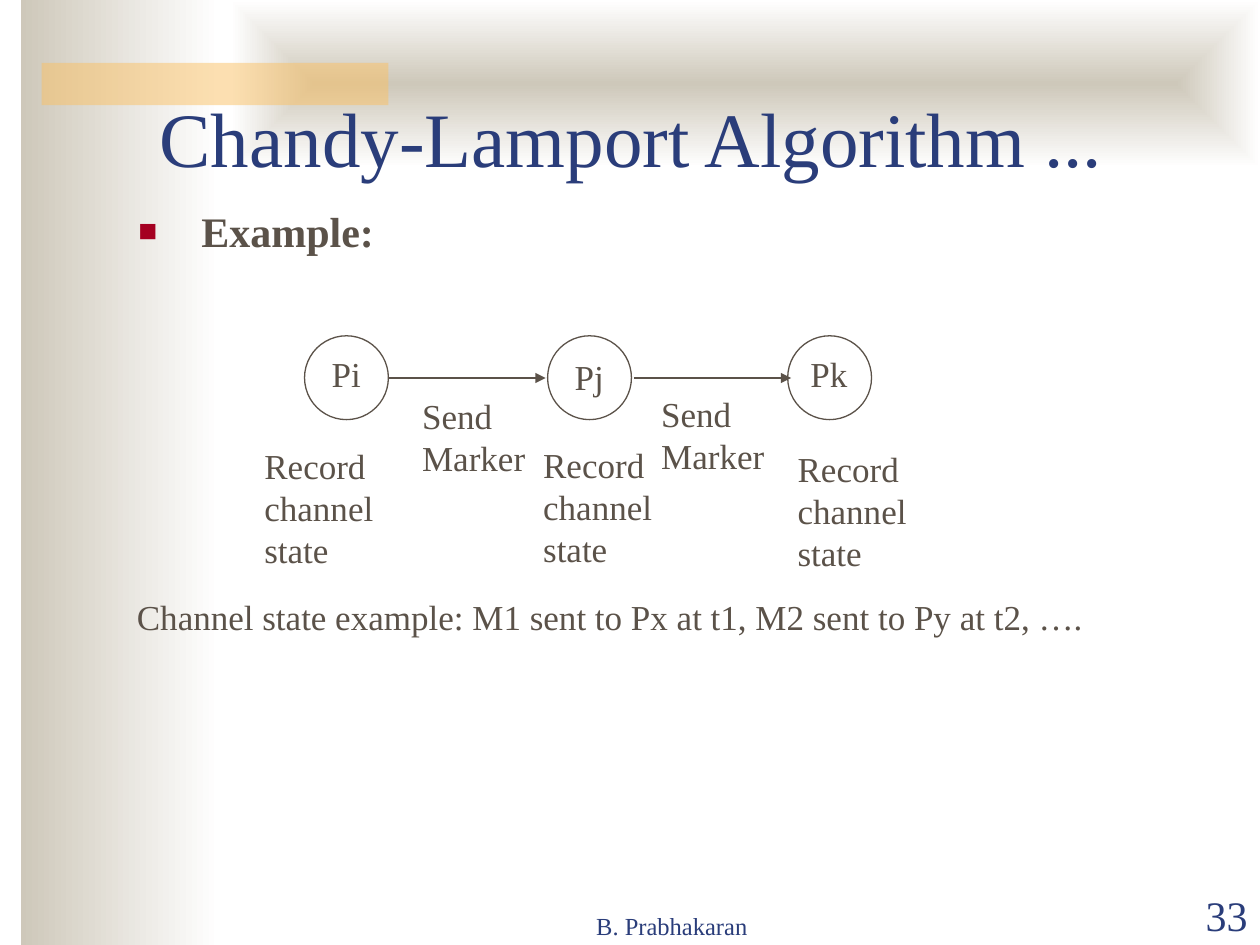
from dataclasses import dataclass

from lxml import etree
from pptx import Presentation
from pptx import util as u
from pptx.dml.color import RGBColor
from pptx.enum import shapes, text
from pptx.oxml import ns

FONT = "Times New Roman"
NAVY = "2A3D7A"
BROWN = "5B5249"
SAND = "CEC8BA"
WHITE = "FFFFFF"
AMBER = "FAC164"
RED = "A50021"

CIRCLE_SIZE = 1.69
CIRCLE_TOP = 6.77
ARROW_Y = 7.62


@dataclass
class Area:
    left: float
    top: float
    width: float
    height: float

    def lengths(self) -> list:
        return [u.Cm(n) for n in (self.left, self.top, self.width, self.height)]


@dataclass
class Process:
    name: str
    circle_left: float
    name_area: Area
    record_area: Area


@dataclass
class Message:
    start: float
    end: float
    label_area: Area


PROCESSES = [
    Process("Pi", 6.14, Area(6.42, 6.97, 1.12, 1.12), Area(5.08, 8.84, 2.75, 2.79)),
    Process("Pj", 11.04, Area(11.32, 7.04, 1.12, 1.12), Area(10.7, 8.82, 2.75, 2.79)),
    Process("Pk", 15.88, Area(16.06, 6.96, 1.3, 1.12), Area(15.83, 8.89, 2.75, 2.79)),
]
MESSAGES = [
    Message(7.82, 11, Area(8.26, 7.82, 2.62, 1.96)),
    Message(12.78, 15.95, Area(13.08, 7.77, 2.62, 1.96)),
]


def color(value: str) -> RGBColor:
    return RGBColor.from_string(value)


def add_child(parent, tag: str, **attributes: str):
    return etree.SubElement(parent, ns.qn(tag), attributes)


def add_panel(page, area: Area, kind=shapes.MSO_SHAPE.RECTANGLE):
    panel = page.shapes.add_shape(kind, *area.lengths())
    panel.shadow.inherit = False
    panel.fill.background()
    panel.line.fill.background()
    return panel


def add_gradient(page, area: Area, centered: bool = False) -> None:
    panel = add_panel(page, area)
    panel.fill.gradient()
    panel.fill.gradient_angle = 0
    for stop, value in zip(panel.fill.gradient_stops, (SAND, WHITE)):
        stop.color.rgb = color(value)
    if centered:
        gradient = panel._element.spPr.find(ns.qn("a:gradFill"))
        gradient.remove(gradient.find(ns.qn("a:lin")))
        route = add_child(gradient, "a:path", path="rect")
        add_child(route, "a:fillToRect", l="50000", t="50000", r="50000", b="50000")


def add_accent(page, area: Area) -> None:
    panel = add_panel(page, area)
    panel.fill.solid()
    panel.fill.fore_color.rgb = color(AMBER)
    shade = panel._element.spPr.find(ns.qn("a:solidFill"))[0]
    add_child(shade, "a:alpha", val="50000")


def add_bullet(para) -> None:
    properties = para._p.get_or_add_pPr()
    properties.set("marL", str(u.Cm(1.27)))
    properties.set("indent", str(u.Cm(-1.27)))
    add_child(add_child(properties, "a:buClr"), "a:srgbClr", val=RED)
    add_child(properties, "a:buSzPct", val="75000")
    add_child(properties, "a:buFont", typeface=FONT)
    add_child(properties, "a:buChar", char="■")


def add_text(page, words: str, area: Area, *, size: int = 20, value: str = BROWN,
             align=text.PP_ALIGN.LEFT, anchor=text.MSO_ANCHOR.MIDDLE,
             wrap: bool = False, bold: bool = False, bullet: bool = False) -> None:
    frame = page.shapes.add_textbox(*area.lengths()).text_frame
    frame.word_wrap = wrap
    frame.vertical_anchor = anchor
    if not wrap:
        frame.auto_size = text.MSO_AUTO_SIZE.SHAPE_TO_FIT_TEXT
    frame.text = words
    for para in frame.paragraphs:
        para.alignment = align
        if bullet:
            add_bullet(para)
        for span in para.runs:
            span.font.name = FONT
            span.font.size = u.Pt(size)
            span.font.bold = bold
            span.font.color.rgb = color(value)


def add_circle(page, left: float) -> None:
    area = Area(left, CIRCLE_TOP, CIRCLE_SIZE, CIRCLE_SIZE)
    circle = add_panel(page, area, shapes.MSO_SHAPE.OVAL)
    circle.line.color.rgb = color(BROWN)
    circle.line.width = u.Pt(0.75)


def add_arrow(page, start: float, end: float) -> None:
    arrow = page.shapes.add_connector(
        shapes.MSO_CONNECTOR.STRAIGHT,
        u.Cm(start), u.Cm(ARROW_Y), u.Cm(end), u.Cm(ARROW_Y))
    arrow.line.color.rgb = color(BROWN)
    arrow.line.width = u.Pt(0.75)
    add_child(arrow.line._get_or_add_ln(), "a:tailEnd", type="triangle")
    add_child(arrow._element.spPr, "a:effectLst")


def main() -> None:
    deck = Presentation()
    deck.slide_width, deck.slide_height = u.Cm(25.4), u.Cm(19.05)
    page = deck.slides.add_slide(deck.slide_layouts[6])

    add_gradient(page, Area(0.42, 0, 4.02, 19.05))
    add_gradient(page, Area(4.65, 0, 20.75, 3.38), centered=True)
    add_accent(page, Area(0.84, 1.27, 6.99, 0.85))

    bottom = text.MSO_ANCHOR.BOTTOM
    add_text(page, "B. Prabhakaran", Area(9.52, 17.81, 8.05, 1.27), size=14,
             value=NAVY, align=text.PP_ALIGN.CENTER, anchor=bottom, wrap=True)
    add_text(page, "33", Area(22.86, 17.81, 2.54, 1.27), size=24,
             value=NAVY, align=text.PP_ALIGN.RIGHT, anchor=bottom, wrap=True)
    add_text(page, "Chandy-Lamport Algorithm ...", Area(2.97, 0.64, 21.59, 3.18),
             size=44, value=NAVY, anchor=bottom, wrap=True)
    add_text(page, "Example:", Area(2.54, 4.02, 21.59, 11.43), size=24,
             anchor=text.MSO_ANCHOR.TOP, wrap=True, bold=True, bullet=True)

    for process in PROCESSES:
        add_circle(page, process.circle_left)
        add_text(page, process.name, process.name_area, align=text.PP_ALIGN.CENTER)
        add_text(page, "Record\nchannel\nstate", process.record_area)
    for message in MESSAGES:
        add_arrow(page, message.start, message.end)
        add_text(page, "Send\nMarker", message.label_area)

    add_text(page, "Channel state example: M1 sent to Px at t1, M2 sent to Py at t2, ….",
             Area(2.51, 11.86, 19.7, 1.12))
    deck.save("out.pptx")


if __name__ == "__main__":
    main()
